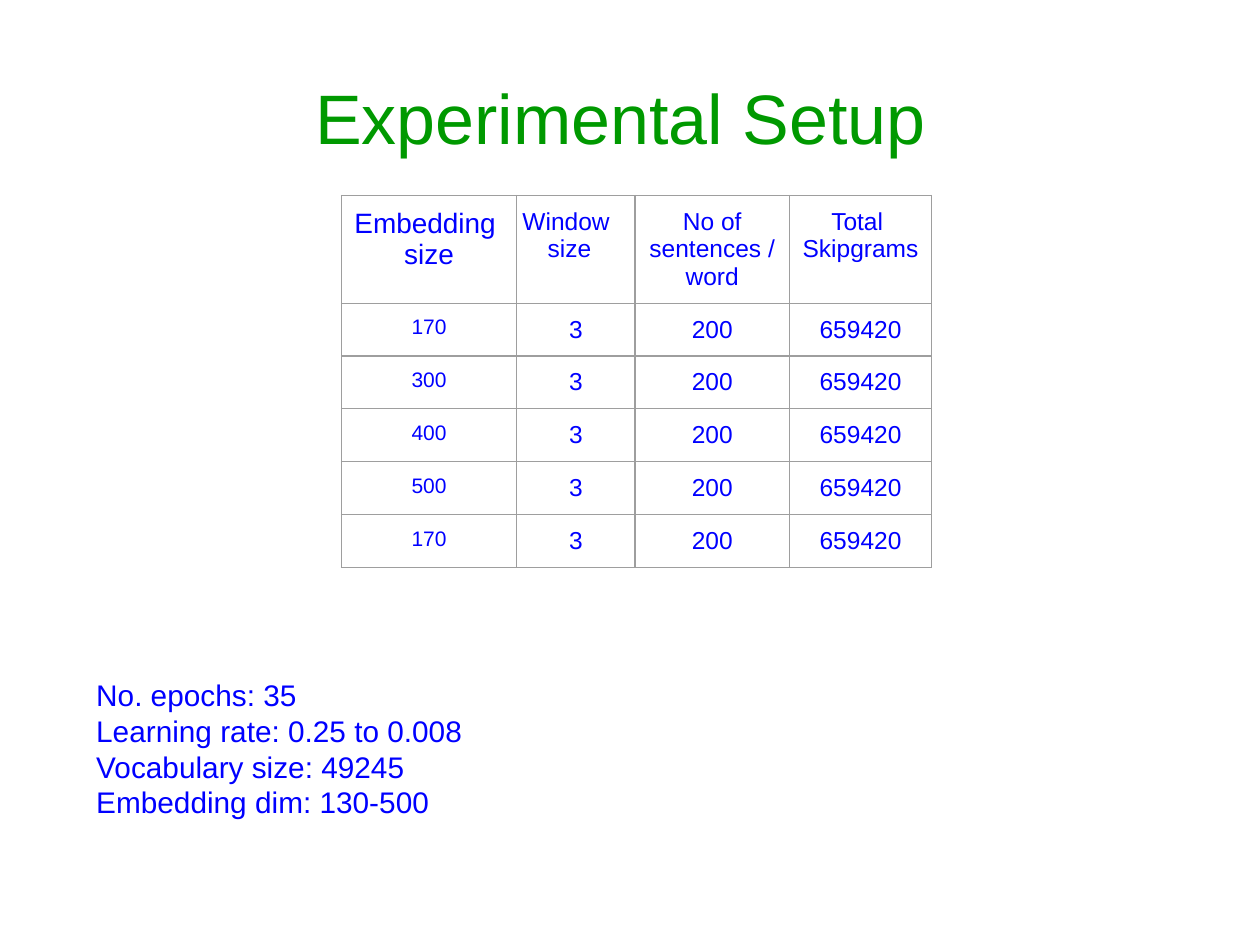
"""Build the experimental setup slide."""
from lxml.etree import fromstring
from pptx import Presentation
from pptx.dml.color import RGBColor
from pptx.enum.text import MSO_ANCHOR, MSO_AUTO_SIZE, PP_ALIGN
from pptx.util import Pt

GREEN = RGBColor(0x00, 0x99, 0x00)
BLUE = RGBColor(0x00, 0x00, 0xFF)
GRAY = RGBColor(0x9E, 0x9E, 0x9E)
NAMESPACE = "http://schemas.openxmlformats.org/drawingml/2006/main"


def write_lines(frame, lines, size, color, alignment):
    frame.text = "\n".join(lines)
    for paragraph in frame.paragraphs:
        paragraph.alignment = alignment
        paragraph.font.name = "Arial"
        paragraph.font.size = Pt(size)
        paragraph.font.color.rgb = color


def add_borders(cell):
    properties = cell._tc.get_or_add_tcPr()
    for index, side in enumerate(("lnL", "lnR", "lnT", "lnB")):
        border = fromstring(
            f'<a:{side} xmlns:a="{NAMESPACE}" w="{Pt(0.75)}">'
            f'<a:solidFill><a:srgbClr val="{GRAY}"/></a:solidFill></a:{side}>'
        )
        properties.insert(index, border)


deck = Presentation()
deck.slide_width, deck.slide_height = Pt(720), Pt(540)
page = deck.slides.add_slide(deck.slide_layouts[5])

title = page.shapes.title
title.left, title.top, title.width, title.height = Pt(36), Pt(21.6), Pt(648), Pt(90)
title.text_frame.vertical_anchor = MSO_ANCHOR.MIDDLE
write_lines(title.text_frame, ["Experimental Setup "], 40, GREEN, PP_ALIGN.CENTER)

headers = [
    ["Embedding ", "size"],
    ["Window ", "size"],
    ["No of sentences / word"],
    ["Total ", "Skipgrams"],
]
embedding_sizes = ["170", "300", "400", "500", "170"]
rows = [headers] + [[[size], ["3"], ["200"], ["659420"]] for size in embedding_sizes]
column_widths = [100.1, 67.7, 88.2, 81.4]
row_heights = [61.7] + [30.1] * len(embedding_sizes)

table = page.shapes.add_table(
    len(rows), len(headers), Pt(195.1), Pt(111.6),
    Pt(sum(column_widths)), Pt(sum(row_heights)),
).table
table.first_row = False
table.horz_banding = False
for column, width in zip(table.columns, column_widths):
    column.width = Pt(width)
for row, height in zip(table.rows, row_heights):
    row.height = Pt(height)

for row_index, row in enumerate(rows):
    for column_index, lines in enumerate(row):
        cell = table.cell(row_index, column_index)
        cell.margin_left = cell.margin_right = Pt(7.2)
        cell.margin_top = cell.margin_bottom = Pt(7.2)
        cell.fill.background()
        add_borders(cell)
        size = 14
        if column_index == 0:
            size = 16 if row_index == 0 else 12
        write_lines(cell.text_frame, lines, size, BLUE, PP_ALIGN.CENTER)
table.cell(0, 1).margin_left = Pt(0)

settings = [
    "No. epochs: 35",
    "Learning rate: 0.25 to 0.008",
    "Vocabulary size: 49245",
    "Embedding dim: 130-500",
]
box = page.shapes.add_textbox(Pt(47.9), Pt(379.6), Pt(417.6), Pt(97.2))
frame = box.text_frame
frame.word_wrap = True
frame.auto_size = MSO_AUTO_SIZE.SHAPE_TO_FIT_TEXT
frame.margin_left = frame.margin_right = Pt(7.2)
frame.margin_top = frame.margin_bottom = Pt(7.2)
write_lines(frame, settings, 17, BLUE, PP_ALIGN.LEFT)

deck.save("out.pptx")
